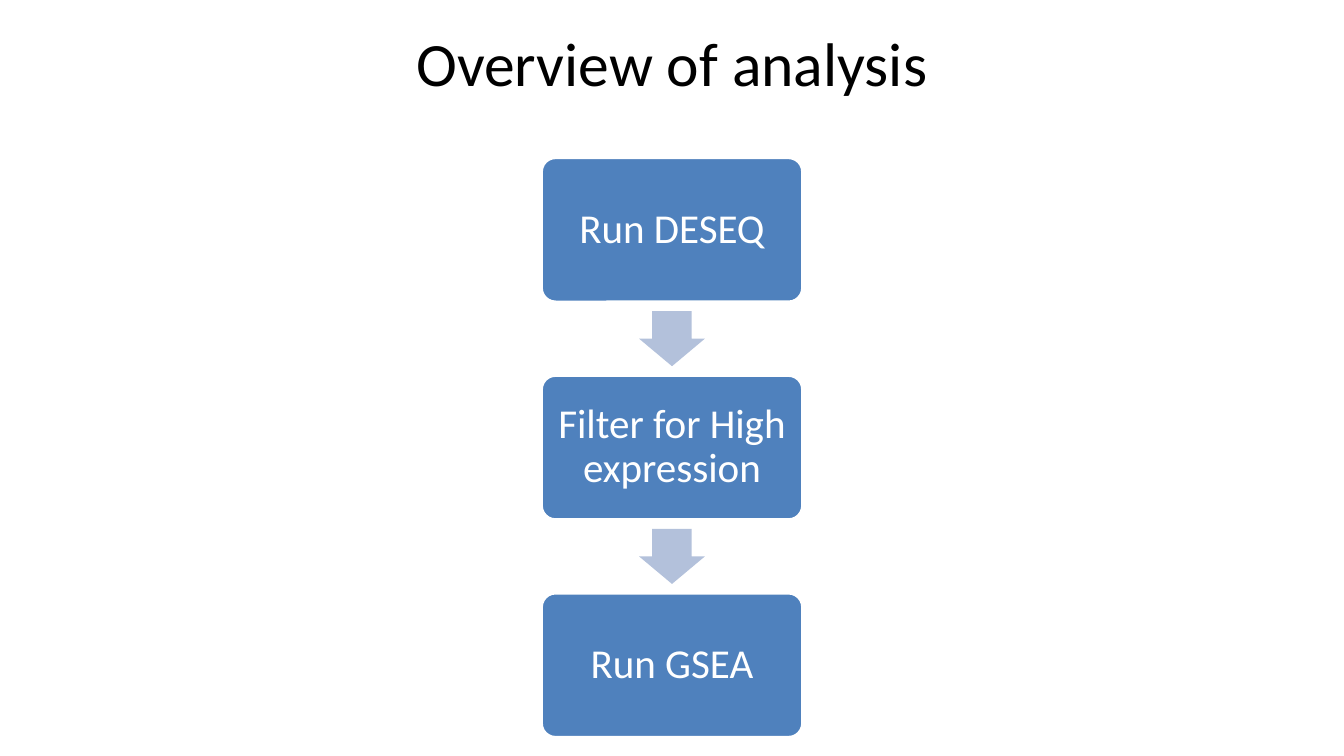
from pptx import Presentation
from pptx import util as u
from pptx.dml.color import RGBColor
from pptx.enum import shapes, text

TITLE = "Overview of analysis"
STEPS = ["Run DESEQ", "Filter for High expression", "Run GSEA"]

BLACK = RGBColor(0x00, 0x00, 0x00)
WHITE = RGBColor(0xFF, 0xFF, 0xFF)
BLUE = RGBColor(0x4F, 0x81, 0xBD)
PALE = RGBColor(0xB3, 0xC1, 0xDB)

WIDE = 10
HIGH = WIDE * 9 / 16
BOX_W, BOX_H = 1.95, 1.08
TOP, PITCH = 1.17, 1.5 * BOX_H
ARROW_W, ARROW_H = 0.41, 0.49


def write(frame, words, size, color):
    """Fill a frame with one centred paragraph."""
    frame.text = words
    form = {"word_wrap": True, "vertical_anchor": text.MSO_ANCHOR.MIDDLE}
    for key, value in form.items():
        setattr(frame, key, value)
    para = frame.paragraphs[0]
    para.alignment = text.PP_ALIGN.CENTER
    font = para.runs[0].font
    font.name, font.size, font.color.rgb = "Calibri", u.Pt(size), color
    return para


def add_mid(slide, kind, mid, size, fill, adjust):
    """Add a shape centred across the slide, with its middle at height mid."""
    w, h = size
    shape = slide.shapes.add_shape(
        kind, *map(u.Inches, ((WIDE - w) / 2, mid - h / 2, w, h)))
    shape.shadow.inherit = False
    shape.fill.solid()
    shape.fill.fore_color.rgb = fill
    for i, value in enumerate(adjust):
        shape.adjustments[i] = value
    return shape


def add_step(slide, words, mid):
    box = add_mid(slide, shapes.MSO_SHAPE.ROUNDED_RECTANGLE, mid,
                  (BOX_W, BOX_H), BLUE, [0.1])
    box.line.color.rgb, box.line.width = WHITE, u.Pt(2)
    frame = box.text_frame
    for side in ("left", "top", "right", "bottom"):
        setattr(frame, "margin_" + side, u.Inches(0.09))
    write(frame, words, 22, WHITE).line_spacing = 0.9


def add_arrow(slide, mid):
    arrow = add_mid(slide, shapes.MSO_SHAPE.RIGHT_ARROW, mid,
                    (ARROW_W, ARROW_H), PALE, [0.6, 0.5])
    arrow.rotation = 90
    arrow.line.fill.background()


def main():
    deck = Presentation()
    deck.slide_width, deck.slide_height = u.Inches(WIDE), u.Inches(HIGH)
    slide = deck.slides.add_slide(deck.slide_layouts[5])

    title = slide.shapes.title
    place = {"left": 0.5, "top": 0.13, "width": 9, "height": 0.66}
    for key, value in place.items():
        setattr(title, key, u.Inches(value))
    write(title.text_frame, TITLE, 33, BLACK)

    for i, words in enumerate(STEPS):
        mid = TOP + BOX_H / 2 + i * PITCH
        if i:
            add_arrow(slide, mid - PITCH / 2)
        add_step(slide, words, mid)

    deck.save("out.pptx")


if __name__ == "__main__":
    main()
